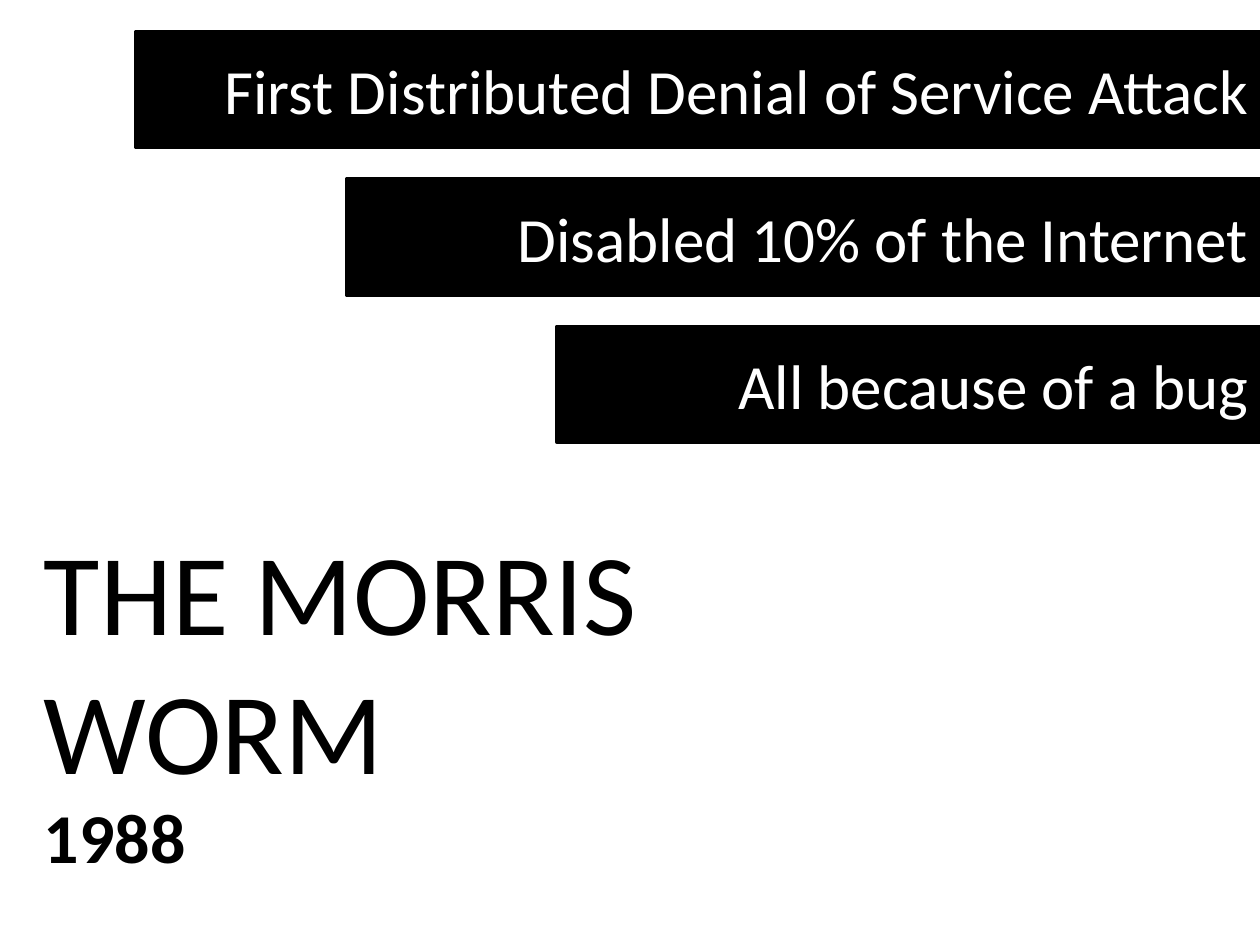
from pptx import Presentation, util as u
from pptx.dml.color import RGBColor
from pptx.enum import shapes, text

BLACK, WHITE = "000000", "FFFFFF"


def rgb(value):
    return RGBColor.from_string(value)


def write(tf, content, size, color=BLACK, bold=False, align=text.PP_ALIGN.LEFT,
          anchor=text.MSO_ANCHOR.TOP, font="Calibri"):
    tf.word_wrap = True
    tf.vertical_anchor = anchor
    p = tf.paragraphs[0]
    p.alignment = align
    r = p.add_run()
    r.text = content
    r.font.name = font
    r.font.size = u.Pt(size)
    r.font.bold = bold
    r.font.color.rgb = rgb(color)


class Deck:
    """Hold the bar style and the current slide, and draw its elements."""

    def __init__(self, slide, fill=BLACK, ink=WHITE):
        self.s, self.fill, self.ink = slide, fill, ink

    def label(self, content, left, top, width, height, **fmt):
        sp = self.s.shapes.add_textbox(*map(u.Inches, (left, top, width, height)))
        write(sp.text_frame, content, **fmt)

    def bar(self, content, left, top, width, height):
        sp = self.s.shapes.add_shape(shapes.MSO_SHAPE.RECTANGLE,
                                     *map(u.Inches, (left, top, width, height)))
        sp.shadow.inherit = False
        sp.fill.solid()
        sp.fill.fore_color.rgb = rgb(self.fill)
        sp.line.color.rgb = rgb(self.fill)
        sp.line.width = u.Pt(2)
        write(sp.text_frame, content, 36, color=self.ink,
              align=text.PP_ALIGN.RIGHT, anchor=text.MSO_ANCHOR.MIDDLE)


def main():
    prs = Presentation()
    prs.slide_width, prs.slide_height = u.Inches(10), u.Inches(7.5)
    s = prs.slides.add_slide(prs.slide_layouts[6])
    s.background.fill.solid()
    s.background.fill.fore_color.rgb = rgb(WHITE)
    deck = Deck(s)

    deck.label("THE MORRIS WORM", 0.25, 4.08, 7.25, 2.32, size=66)
    deck.label("1988", 0.25, 6.25, 1.33, 0.77, size=40, bold=True)

    facts = ("First Distributed Denial of Service Attack",
             "Disabled 10% of the Internet",
             "All because of a bug")
    right = 10.01
    for i, fact in enumerate(facts):
        left = 1.08 + 1.67 * i
        deck.bar(fact, left, 0.25 + 1.17 * i, right - left, 0.92)

    prs.save("out.pptx")


if __name__ == "__main__":
    main()
